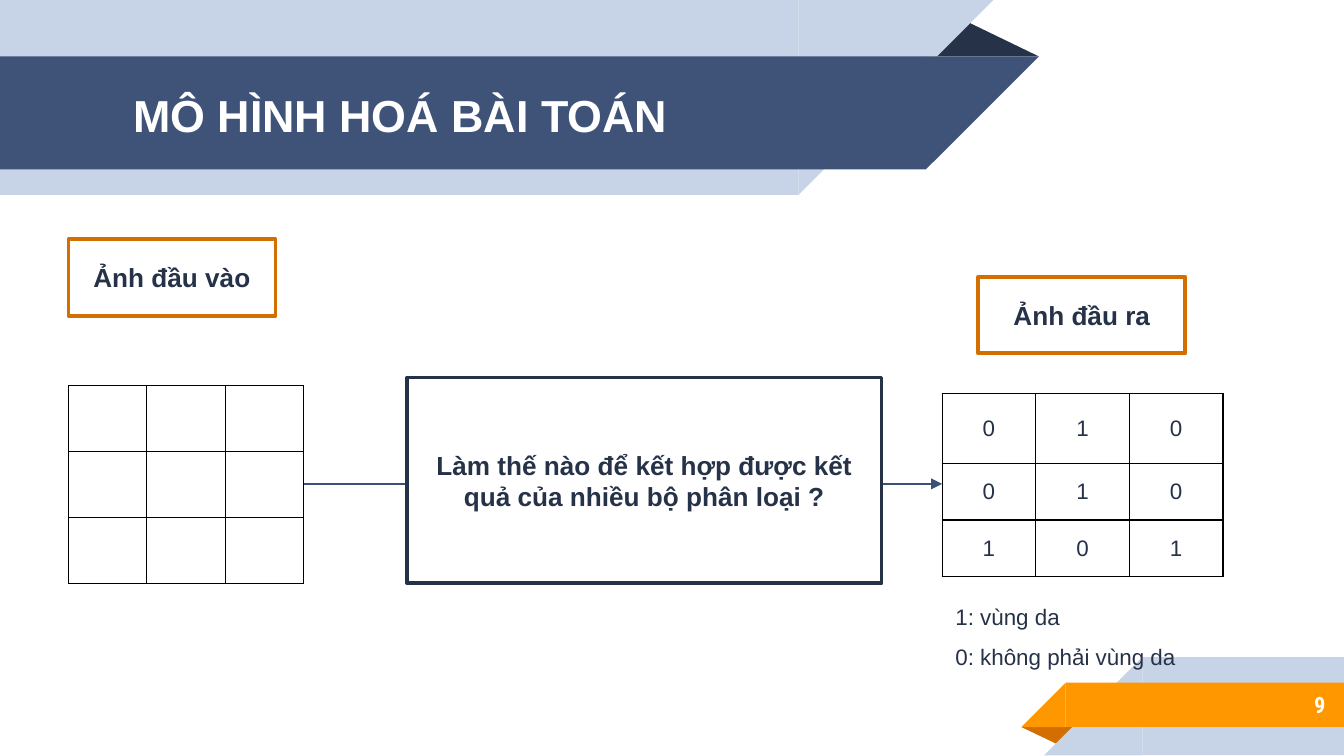
from lxml import etree
from pptx import Presentation
from pptx.dml.color import RGBColor
from pptx.enum.shapes import MSO_CONNECTOR, MSO_SHAPE
from pptx.enum.text import MSO_ANCHOR, MSO_AUTO_SIZE, PP_ALIGN
from pptx.oxml.ns import qn
from pptx.util import Inches, Pt

RECTANGLE = MSO_SHAPE.RECTANGLE
TRIANGLE = MSO_SHAPE.ISOSCELES_TRIANGLE
RIGHT_TRIANGLE = MSO_SHAPE.RIGHT_TRIANGLE
STRAIGHT = MSO_CONNECTOR.STRAIGHT
LEFT, CENTER, RIGHT = PP_ALIGN.LEFT, PP_ALIGN.CENTER, PP_ALIGN.RIGHT
TOP, MIDDLE = MSO_ANCHOR.TOP, MSO_ANCHOR.MIDDLE
NO_AUTOFIT = MSO_AUTO_SIZE.NONE
TITLE_ONLY_LAYOUT = 5

NAVY, BLUE, PALE = "263248", "3F5378", "C7D3E6"
ORANGE, DARK_ORANGE = "FF9800", "D26F00"
WHITE, BLACK, ARROW_BLUE = "FFFFFF", "000000", "3C5177"

BODY_FONT = {"name": "Arial", "size": Pt(12), "bold": False}
LABEL_FONT = {"name": "Arial", "size": Pt(14), "bold": True}
TITLE_FONT = {"name": "Arial", "size": Pt(24), "bold": True}
NUMBER_FONT = {"name": "Roboto Condensed", "size": Pt(12), "bold": True}

OUTPUT_VALUES = [["0", "1", "0"], ["0", "1", "0"], ["1", "0", "1"]]
SLIDE_WIDTH = 10
ARROW_Y = 3.6


def color(value):
    return RGBColor.from_string(value)


def set_attributes(target, values):
    for name, value in values.items():
        setattr(target, name, value)


def write(para, text, font, hue, align):
    para.alignment = align
    span = para.add_run()
    span.text = text
    set_attributes(span.font, font)
    span.font.color.rgb = color(hue)


def set_margins(frame, margin):
    for side in ("left", "right", "top", "bottom"):
        setattr(frame, f"margin_{side}", Inches(margin))


def add_block(page, kind, place, fill, turned=False, flipped=False, peak=None):
    shape = page.shapes.add_shape(kind, *map(Inches, place))
    shape.shadow.inherit = False
    shape.fill.solid()
    shape.fill.fore_color.rgb = color(fill)
    shape.line.fill.background()
    if turned:
        shape.rotation = 180
    if flipped:
        shape.element.spPr.find(qn("a:xfrm")).set("flipH", "1")
    if peak is not None:
        shape.adjustments[0] = peak
    return shape


def add_top_band(page, width, top, height, fill):
    add_block(page, RECTANGLE, (0, top, width, height), fill)
    add_block(page, RIGHT_TRIANGLE, (width, top, height, height), fill,
              turned=True, flipped=True)


def add_bottom_band(page, left, top, height, fill):
    inner = left + height
    add_block(page, RECTANGLE, (inner, top, SLIDE_WIDTH - inner, height), fill)
    add_block(page, RIGHT_TRIANGLE, (left, top, height, height), fill, flipped=True)


def add_label(page, place, text, outline):
    box = add_block(page, RECTANGLE, place, WHITE)
    box.line.color.rgb = color(outline)
    box.line.width = Pt(2)
    frame = box.text_frame
    set_attributes(frame, {"word_wrap": True, "vertical_anchor": MIDDLE})
    write(frame.paragraphs[0], text, LABEL_FONT, NAVY, CENTER)


def add_text(page, place, lines, font, hue, align=LEFT, anchor=TOP, spacing=1.0):
    frame = page.shapes.add_textbox(*map(Inches, place)).text_frame
    set_attributes(frame, {"word_wrap": True, "vertical_anchor": anchor})
    for index, text in enumerate(lines):
        para = frame.add_paragraph() if index else frame.paragraphs[0]
        para.line_spacing = spacing
        write(para, text, font, hue, align)
    return frame


def add_borders(cell):
    properties = cell._tc.get_or_add_tcPr()
    for side in ("lnL", "lnR", "lnT", "lnB"):
        line = etree.SubElement(properties, qn(f"a:{side}"), w=str(Pt(0.75)))
        fill = etree.SubElement(line, qn("a:solidFill"))
        etree.SubElement(fill, qn("a:srgbClr"), val=BLACK)


def add_grid(page, place, row_heights, values):
    size = len(values)
    table = page.shapes.add_table(size, size, *map(Inches, place)).table
    set_attributes(table, {"first_row": False, "horz_banding": False})
    for column in table.columns:
        column.width = Inches(place[2] / size)
    for row, height, texts in zip(table.rows, row_heights, values):
        row.height = Inches(height)
        for cell, text in zip(row.cells, texts):
            add_borders(cell)
            cell.fill.background()
            cell.vertical_anchor = MIDDLE
            if text:
                write(cell.text_frame.paragraphs[0], text, BODY_FONT, NAVY, CENTER)


def add_arrow(page, start, end):
    arrow = page.shapes.add_connector(
        STRAIGHT, Inches(start), Inches(ARROW_Y), Inches(end), Inches(ARROW_Y))
    arrow.line.color.rgb = color(ARROW_BLUE)
    arrow.line.width = Pt(0.75)
    outline = arrow.element.spPr.find(qn("a:ln"))
    etree.SubElement(outline, qn("a:tailEnd"), type="triangle")
    etree.SubElement(arrow.element.spPr, qn("a:effectLst"))


def place_title(page, place, text):
    title = page.shapes.title
    for name, value in zip(("left", "top", "width", "height"), place):
        setattr(title, name, Inches(value))
    frame = title.text_frame
    set_attributes(frame, {"word_wrap": True, "vertical_anchor": MIDDLE,
                           "auto_size": NO_AUTOFIT})
    set_margins(frame, 0.1)
    write(frame.paragraphs[0], text, TITLE_FONT, WHITE, LEFT)
    title.element.getparent().append(title.element)


def add_decoration(page):
    add_block(page, TRIANGLE, (7.6, 5.41, 0.43, 0.14), DARK_ORANGE,
              turned=True, peak=0.32)
    add_bottom_band(page, 7.77, 4.89, 0.73, PALE)
    add_bottom_band(page, 7.6, 5.08, 0.33, ORANGE)
    add_block(page, TRIANGLE, (6.88, 0.14, 0.85, 0.28), NAVY, peak=0.32)
    add_top_band(page, 5.94, 0, 1.45, PALE)
    add_top_band(page, 6.89, 0.42, 0.84, BLUE)


def main():
    deck = Presentation()
    deck.slide_width = Inches(SLIDE_WIDTH)
    deck.slide_height = Inches(SLIDE_WIDTH * 9 / 16)
    page = deck.slides.add_slide(deck.slide_layouts[TITLE_ONLY_LAYOUT])

    add_decoration(page)
    number = add_text(page, (8.33, 5.07, 1.63, 0.35), ["9"], NUMBER_FONT, WHITE,
                      RIGHT, MIDDLE)
    set_margins(number, 0.1)

    add_grid(page, (0.51, 2.87, 1.75, 1.48), [0.49] * 3, [[""] * 3] * 3)
    add_grid(page, (7.01, 2.93, 2.09, 1.35), [0.52, 0.42, 0.42], OUTPUT_VALUES)
    add_arrow(page, 2.26, 3.43)
    add_arrow(page, 6.23, 7.01)

    add_label(page, (0.51, 1.78, 1.54, 0.57), "Ảnh đầu vào", DARK_ORANGE)
    add_label(page, (7.28, 2.06, 1.54, 0.57), "Ảnh đầu ra", DARK_ORANGE)
    add_text(page, (7.01, 4.34, 2.32, 0.67), ["1: vùng da", "0: không phải vùng da"],
             BODY_FONT, NAVY, spacing=1.5)
    place_title(page, (0.89, 0.43, 6.01, 0.84), "MÔ HÌNH HOÁ BÀI TOÁN")
    add_label(page, (3.03, 2.81, 3.53, 1.53),
              "Làm thế nào để kết hợp được kết quả của nhiều bộ phân loại ?", NAVY)

    deck.save("out.pptx")


if __name__ == "__main__":
    main()
